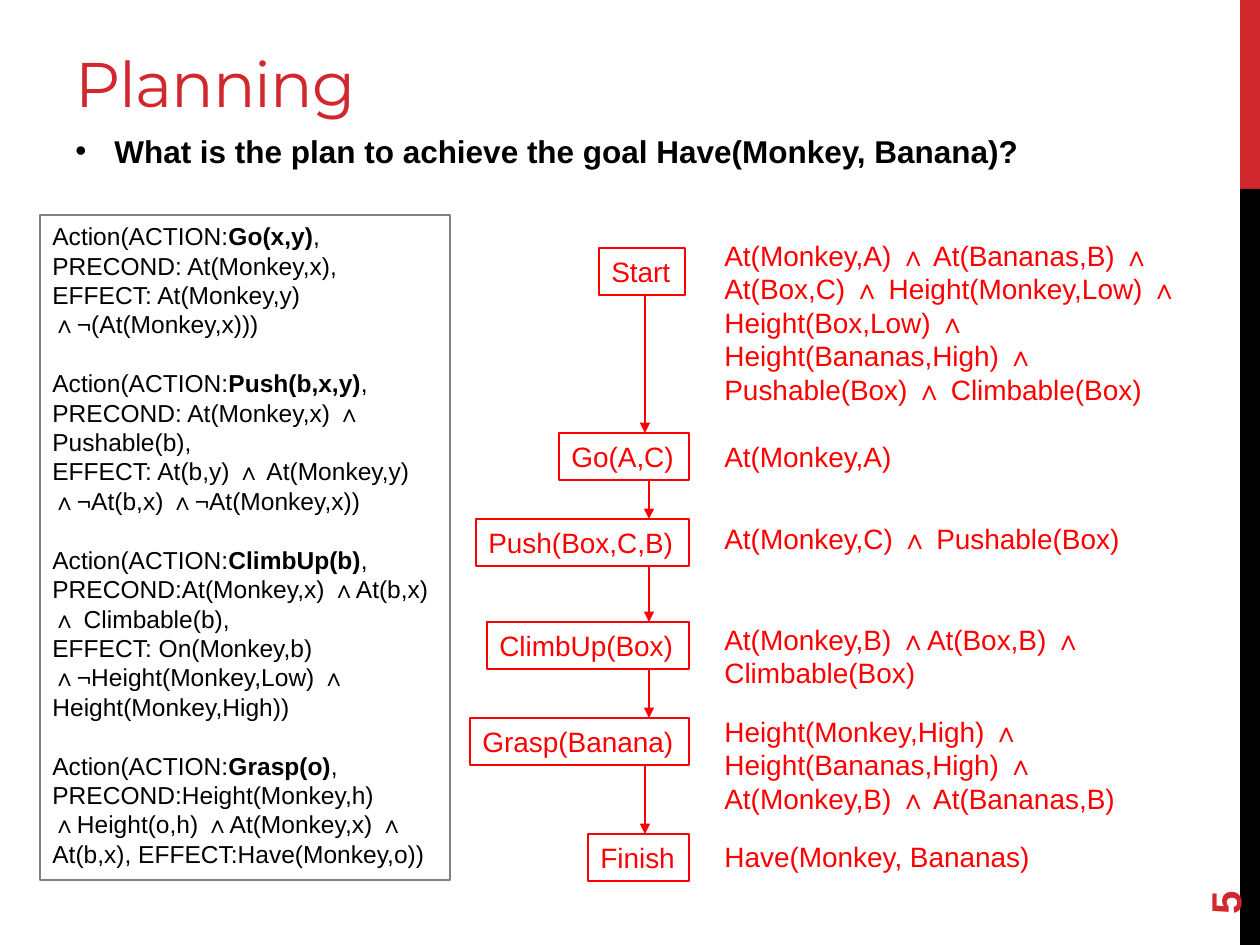
from lxml.etree import SubElement
from pptx import Presentation
from pptx.dml.color import RGBColor
from pptx.enum.shapes import MSO_CONNECTOR, MSO_SHAPE
from pptx.enum.text import MSO_ANCHOR, PP_ALIGN
from pptx.oxml.ns import qn
from pptx.util import Emu, Pt

# Content
TITLE = "Planning"
QUESTION = "What is the plan to achieve the goal Have(Monkey, Banana)?"
PAGE_NUMBER = "5"

# Each action: name, text that follows the name, further paragraphs
ACTIONS = [
    ("Go(x,y)", ",", ["PRECOND: At(Monkey,x),", "EFFECT: At(Monkey,y) ∧¬(At(Monkey,x)))"]),
    ("Push(b,x,y)", ",", ["PRECOND: At(Monkey,x) ∧ Pushable(b),",
                          "EFFECT: At(b,y) ∧ At(Monkey,y) ∧¬At(b,x) ∧¬At(Monkey,x))"]),
    ("ClimbUp(b)", ",", ["PRECOND:At(Monkey,x) ∧At(b,x) ∧ Climbable(b),",
                         "EFFECT: On(Monkey,b) ∧¬Height(Monkey,Low) ∧ Height(Monkey,High))"]),
    ("Grasp(o)", ", PRECOND:Height(Monkey,h) ∧Height(o,h) ∧At(Monkey,x) ∧ "
                 "At(b,x), EFFECT:Have(Monkey,o))", []),
]

# Each step: label, (right, top, width), state text, (top, width, height) of the state
STEPS = [
    ("Start", (685, 248, 86),
     "At(Monkey,A) ∧ At(Bananas,B) ∧ At(Box,C) ∧ Height(Monkey,Low) ∧ Height(Box,Low) ∧ "
     "Height(Bananas,High) ∧ Pushable(Box) ∧ Climbable(Box)", (232, 513, 183)),
    ("Go(A,C)", (689, 433, 130), "At(Monkey,A)", (433, 200, 47)),
    ("Push(Box,C,B)", (689, 519, 213), "At(Monkey,C) ∧ Pushable(Box)", (515, 423, 47)),
    ("ClimbUp(Box)", (689, 622, 202), "At(Monkey,B) ∧At(Box,B) ∧ Climbable(Box)", (616, 423, 81)),
    ("Grasp(Banana)", (689, 718, 219),
     "Height(Monkey,High) ∧ Height(Bananas,High) ∧ At(Monkey,B) ∧ At(Bananas,B)", (708, 423, 115)),
    ("Finish", (689, 834, 101), "Have(Monkey, Bananas)", (833, 334, 47)),
]
ARROW_X = [645, 649, 649, 649, 645]
STEP_HEIGHT = 47
STATE_LEFT = 712

COLORS = {"accent": "D1282E", "black": "000000", "plan": "FF0000", "frame": "808080"}
LINE_FACTOR = 1.2


def px(value):
    return Emu(round(value * 914400 / 126))


def rgb(name):
    return RGBColor.from_string(COLORS[name])


def add_text(frame, paragraphs, size, color, font="Arial", bold=False, wrap=True,
             anchor=MSO_ANCHOR.TOP):
    """Fill a frame; a paragraph is a list of (text, bold) runs or a string."""
    frame.word_wrap = wrap
    frame.vertical_anchor = anchor
    for index, runs in enumerate(paragraphs):
        paragraph = frame.paragraphs[0] if index == 0 else frame.add_paragraph()
        paragraph.alignment = PP_ALIGN.LEFT
        paragraph.line_spacing = Pt(round(size * LINE_FACTOR, 1))
        for text, run_bold in [(runs, bold)] if isinstance(runs, str) else runs:
            run = paragraph.add_run()
            run.text = text
            formats = {"name": font, "size": Pt(size), "bold": run_bold}
            for key, value in formats.items():
                setattr(run.font, key, value)
            run.font.color.rgb = rgb(color)


def add_text_box(slide, box, paragraphs, size, color, **options):
    shape = slide.shapes.add_textbox(*map(px, box))
    add_text(shape.text_frame, paragraphs, size, color, **options)
    return shape


def add_box(slide, box, fill=None, line=None):
    shape = slide.shapes.add_shape(MSO_SHAPE.RECTANGLE, *map(px, box))
    shape.shadow.inherit = False
    if fill:
        shape.fill.solid()
        shape.fill.fore_color.rgb = rgb(fill)
    else:
        shape.fill.background()
    if line:
        shape.line.color.rgb = rgb(line)
        shape.line.width = Pt(0.75)
    else:
        shape.line.fill.background()
    return shape


def add_arrow(slide, x, top, bottom):
    arrow = slide.shapes.add_connector(MSO_CONNECTOR.STRAIGHT, px(x), px(top), px(x), px(bottom))
    arrow.line.color.rgb = rgb("plan")
    arrow.line.width = Pt(1)
    SubElement(arrow.line._get_or_add_ln(), qn("a:tailEnd"), type="triangle")
    SubElement(arrow._element.spPr, qn("a:effectLst"))


def add_heading(slide):
    title = add_text_box(slide, (63, -32, 1038, 158), [TITLE], 36, "accent",
                         font="Montserrat", anchor=MSO_ANCHOR.BOTTOM)
    paragraph = title.text_frame.paragraphs[0]
    paragraph.line_spacing = 1.0
    paragraph.runs[0].font._element.set("spc", "-60")

    question = add_text_box(slide, (63, 126, 1072, 62), [QUESTION], 18, "black", bold=True)
    properties = question.text_frame.paragraphs[0]._p.get_or_add_pPr()
    indent = px(39)
    properties.set("marL", str(indent))
    properties.set("indent", str(-indent))
    SubElement(properties, qn("a:buFont"), typeface="Arial")
    SubElement(properties, qn("a:buChar"), char="•")


def add_actions(slide):
    paragraphs, group_ends = [], []
    for name, rest, details in ACTIONS:
        paragraphs.append([("Action(ACTION:", False), (name, True), (rest, False)])
        paragraphs.extend(details)
        group_ends.append(len(paragraphs) - 1)
    frame = add_box(slide, (40, 215, 410, 665), line="frame").text_frame
    add_text(frame, paragraphs, 14, "black")
    for index in group_ends[:-1]:
        frame.paragraphs[index].space_after = Pt(14 * LINE_FACTOR)


def add_plan(slide):
    for label, (right, top, width), state, (state_top, state_width, state_height) in STEPS:
        step = add_box(slide, (right - width, top, width, STEP_HEIGHT), line="plan")
        add_text(step.text_frame, [label], 16, "plan", wrap=False)
        add_text_box(slide, (STATE_LEFT, state_top, state_width, state_height),
                     [state], 16, "plan")
    tops = [step[1][1] for step in STEPS]
    for x, top, next_top in zip(ARROW_X, tops, tops[1:]):
        add_arrow(slide, x, top + STEP_HEIGHT, next_top)


def main():
    presentation = Presentation()
    presentation.slide_width, presentation.slide_height = px(1260), px(945)
    slide = presentation.slides.add_slide(presentation.slide_layouts[6])

    # Side band
    add_box(slide, (1240, 0, 20, 189), fill="accent")
    add_box(slide, (1240, 189, 20, 756), fill="black")

    add_heading(slide)
    number = add_text_box(slide, (1134, 811, 181, 50), [PAGE_NUMBER], 24, "accent",
                          bold=True, anchor=MSO_ANCHOR.MIDDLE)
    number.rotation = 270
    add_actions(slide)
    add_plan(slide)
    presentation.save("out.pptx")


if __name__ == "__main__":
    main()
